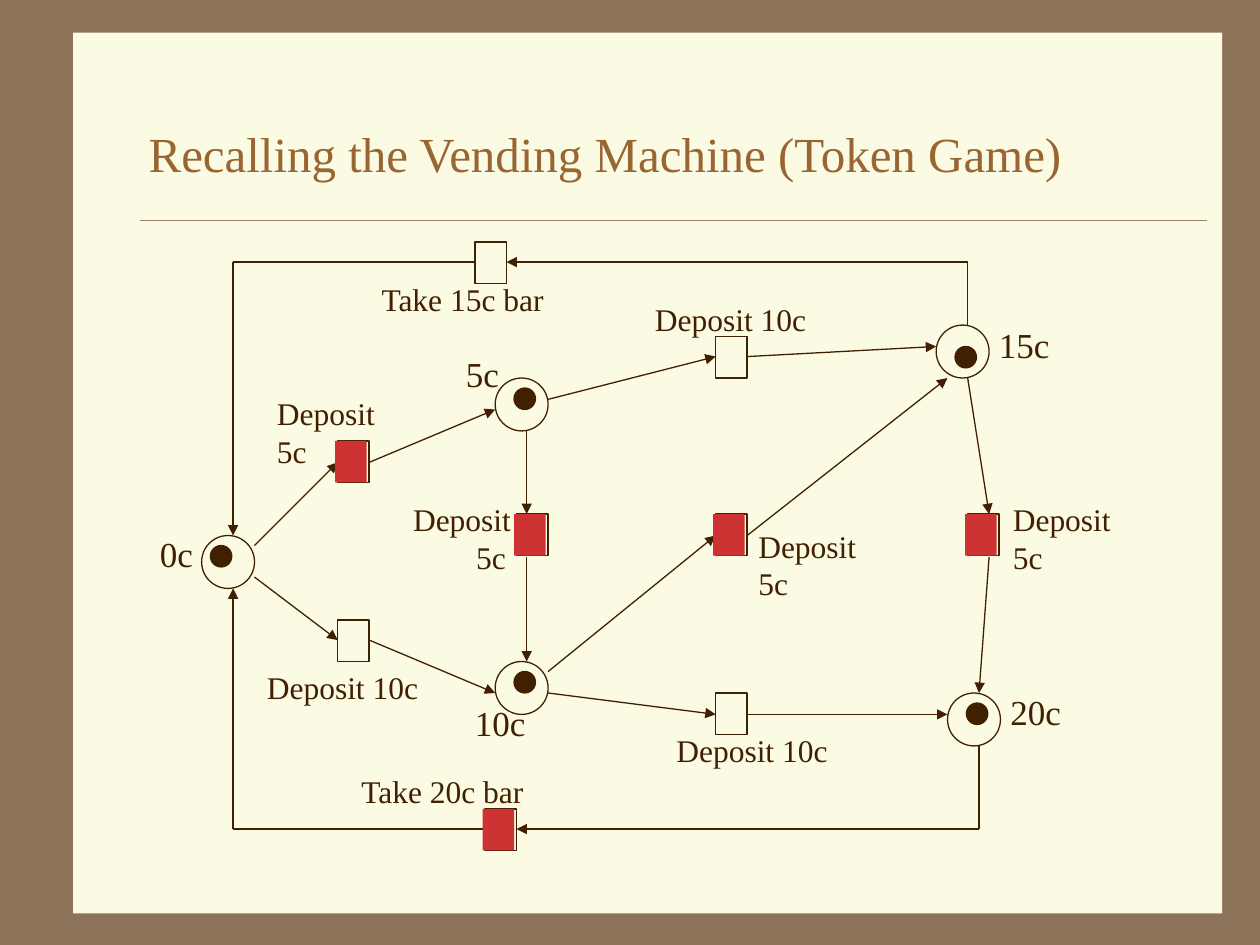
import pptx
import pptx.util
import pptx.dml.color
import pptx.enum.shapes
import pptx.enum.text
import pptx.oxml.ns
import lxml.etree

Inches, Pt = pptx.util.Inches, pptx.util.Pt
SHAPE = pptx.enum.shapes.MSO_SHAPE
rgb = pptx.dml.color.RGBColor.from_string
qn = pptx.oxml.ns.qn

FONT = "Times New Roman"
BROWN, INK, PAPER, RED = "8C735A", "402000", "FBFAE2", "CD3333"

presentation = pptx.Presentation()
presentation.slide_width, presentation.slide_height = Inches(10), Inches(7.5)
slide = presentation.slides.add_slide(presentation.slide_layouts[5])


def add_figure(kind, left, top, width, height, fill=None, line=None):
    figure = slide.shapes.add_shape(
        kind, Inches(left), Inches(top), Inches(width), Inches(height))
    figure.shadow.inherit = False
    if fill:
        figure.fill.solid()
        figure.fill.fore_color.rgb = rgb(fill)
    else:
        figure.fill.background()
    if line:
        figure.line.color.rgb = rgb(line)
        figure.line.width = Pt(0.75)
    else:
        figure.line.fill.background()
    return figure


def add_line(x1, y1, x2, y2, arrow=True, color=INK, width=0.75):
    line = slide.shapes.add_connector(
        pptx.enum.shapes.MSO_CONNECTOR.STRAIGHT,
        Inches(x1), Inches(y1), Inches(x2), Inches(y2))
    line.line.color.rgb = rgb(color)
    line.line.width = Pt(width)
    if arrow:
        lxml.etree.SubElement(line.line._get_or_add_ln(), qn("a:tailEnd"), type="triangle")
    lxml.etree.SubElement(line.element.spPr, qn("a:effectLst"))
    return line


# Background, paper and divider, all behind the title
slide.background.fill.solid()
slide.background.fill.fore_color.rgb = rgb(BROWN)
title = slide.shapes.title
paper = add_figure(SHAPE.RECTANGLE, 0.58, 0.26, 9.12, 6.99, PAPER)
divider = add_line(1.11, 1.75, 9.58, 1.75, False, "A08366", 0.25)
for backdrop in (paper, divider):
    title.element.addprevious(backdrop.element)

# Title
title.left, title.top = Inches(1.08), Inches(0.67)
title.width, title.height = Inches(8.5), Inches(1.08)
title.text_frame.text = "Recalling the Vending Machine (Token Game)"
title.text_frame.vertical_anchor = pptx.enum.text.MSO_ANCHOR.MIDDLE
heading = title.text_frame.paragraphs[0]
heading.alignment = pptx.enum.text.PP_ALIGN.LEFT
heading.runs[0].font.name = FONT
heading.runs[0].font.size = Pt(28)
heading.runs[0].font.color.rgb = rgb("996633")

# Places: one circle for each amount paid so far
places = [(1.6, 4.25), (3.93, 3), (3.93, 5.25), (7.43, 2.58), (7.52, 5.5)]
for left, top in places:
    add_figure(SHAPE.OVAL, left, top, 0.42, 0.42, line=INK)

# Transitions: deposits and bars taken
idle_transitions = [(2.68, 4.92), (5.68, 2.67), (5.68, 5.5), (3.77, 1.92)]
fired_transitions = [(2.68, 3.5), (4.1, 4.08), (5.68, 4.08), (7.68, 4.08), (3.85, 6.42)]
for left, top in idle_transitions + fired_transitions:
    add_figure(SHAPE.RECTANGLE, left, top, 0.25, 0.33, line=INK)

# Arcs for deposits
deposit_arcs = [
    (2.02, 4.33, 2.68, 3.67), (2.93, 3.67, 3.93, 3.25),
    (2.02, 4.58, 2.68, 5.08), (2.93, 5.08, 3.93, 5.5),
    (4.35, 3.17, 5.68, 2.83), (5.93, 2.83, 7.43, 2.75),
    (4.18, 3.42, 4.18, 4.08), (4.18, 4.42, 4.18, 5.25),
    (4.35, 5.33, 5.68, 4.25), (5.93, 4.25, 7.52, 3),
    (4.35, 5.5, 5.68, 5.67), (5.93, 5.67, 7.52, 5.67),
    (7.68, 3, 7.85, 4.08), (7.85, 4.42, 7.77, 5.5),
]
for arc in deposit_arcs:
    add_line(*arc)

# Return loops: start x, start y, loop y, bar's right and left edge, end y at 0c
return_loops = [(7.68, 2.58, 2.08, 4.02, 3.77, 4.25),
                (7.77, 5.92, 6.58, 4.1, 3.85, 4.67)]
for start_x, start_y, loop_y, bar_right, bar_left, end_y in return_loops:
    add_line(start_x, start_y, start_x, loop_y, arrow=False)
    add_line(start_x, loop_y, bar_right, loop_y)
    add_line(bar_left, loop_y, 1.85, loop_y, arrow=False)
    add_line(1.85, loop_y, 1.85, end_y)

# Labels: text, left, top, width, size
labels = [
    ("0c", 1.17, 4.18, 0.46, 20),
    ("5c", 3.6, 2.75, 0.46, 20),
    ("10c", 3.67, 5.52, 0.6, 20),
    ("15c", 7.83, 2.52, 0.6, 20),
    ("20c", 7.92, 5.43, 0.6, 20),
    ("Take 15c bar", 2.93, 2.17, 1.5, 18),
    ("Take 20c bar", 2.77, 6.08, 1.5, 18),
    ("Deposit 5c", 2.1, 3.08, 1.27, 18),
    ("Deposit 10c", 2.02, 5.25, 1.4, 18),
    ("Deposit 10c", 5.1, 2.33, 1.4, 18),
    ("Deposit 10c", 5.27, 5.75, 1.4, 18),
    ("Deposit\n5c", 3.18, 3.92, 0.98, 18),
    ("Deposit\n5c", 5.92, 4.13, 0.98, 18),
    ("Deposit\n5c", 7.94, 3.92, 0.98, 18),
]
for text, left, top, width, size in labels:
    height = 0.7 if "\n" in text else size / 45
    label = slide.shapes.add_textbox(
        Inches(left), Inches(top), Inches(width), Inches(height))
    label.text_frame.word_wrap = False
    label.text_frame.text = text
    for paragraph in label.text_frame.paragraphs:
        paragraph.runs[0].font.name = FONT
        paragraph.runs[0].font.size = Pt(size)
        paragraph.runs[0].font.color.rgb = rgb(INK)
    # The label left of its transition has its second line indented
    if left == 3.18:
        paragraph._p.get_or_add_pPr().set("marL", str(Inches(0.5)))

# Tokens
tokens = [(1.67, 4.33), (4.08, 3.08), (4.08, 5.33), (7.58, 2.75), (7.67, 5.58)]
for left, top in tokens:
    add_figure(SHAPE.OVAL, left, top, 0.17, 0.17, INK, INK)

# Red covers on the fired transitions, slightly to the left
for left, top in fired_transitions:
    add_figure(SHAPE.RECTANGLE, left - 0.02, top, 0.25, 0.33, RED)

presentation.save("out.pptx")
